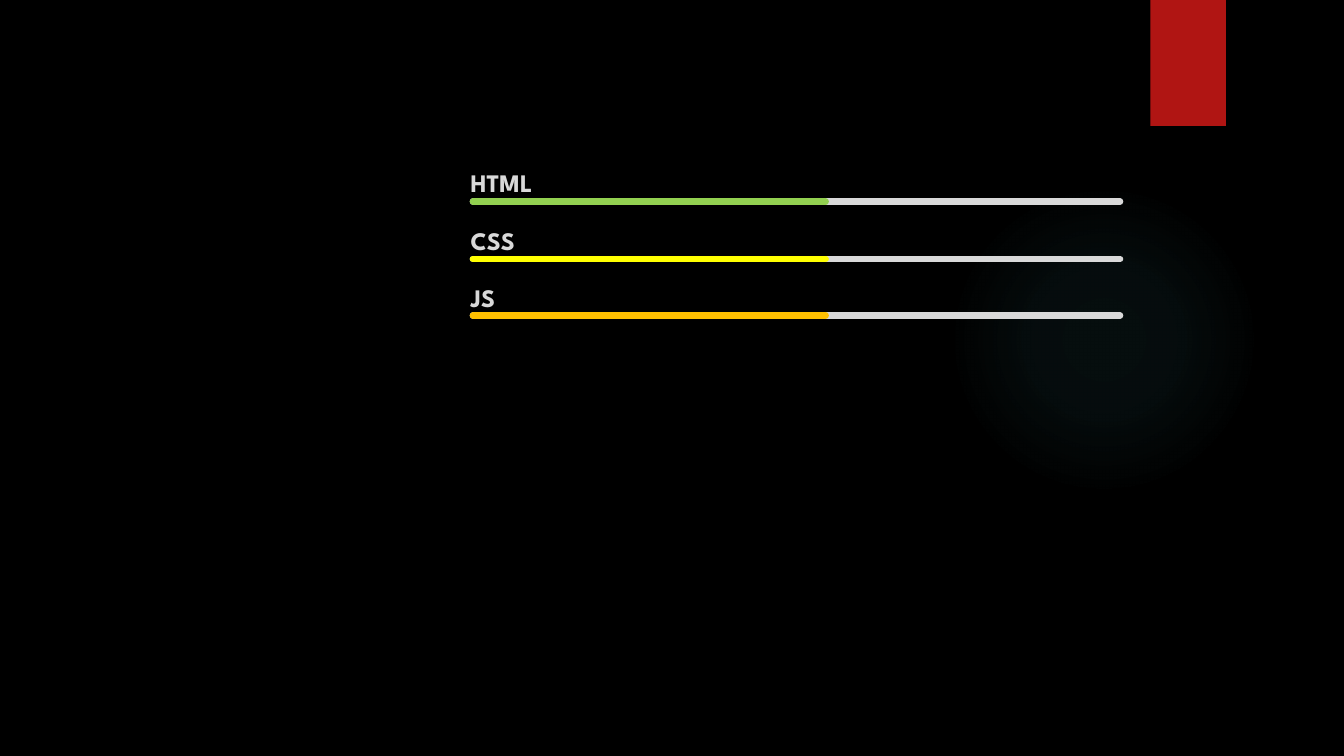
from dataclasses import dataclass

from pptx import Presentation
from pptx.dml.color import RGBColor
from pptx.enum import shapes, text
from pptx.oxml import ns, parse_xml
from pptx.util import Inches, Pt


@dataclass(frozen=True)
class Theme:
    back: str = "000000"
    glow: str = "50B9C1"
    tab: str = "B01513"
    light: str = "D9D9D9"
    font: str = "League Spartan"
    size: float = 18
    bar: float = 4.5


theme = Theme()
rgb = RGBColor.from_string

deck = Presentation()
deck.slide_width, deck.slide_height = Inches(13.33), Inches(7.5)
slide = deck.slides.add_slide(deck.slide_layouts[6])
slide.background.fill.solid()
slide.background.fill.fore_color.rgb = rgb(theme.back)


def add_plain(kind, left, top, width, height):
    """Add a preset shape with no outline and no shadow."""
    shape = slide.shapes.add_shape(
        kind, Inches(left), Inches(top), Inches(width), Inches(height))
    shape.shadow.inherit = False
    shape.line.fill.background()
    return shape


def add_bar(right, y, color):
    """Draw a round-ended bar from the common left edge."""
    bar = slide.shapes.add_connector(
        shapes.MSO_CONNECTOR.STRAIGHT,
        Inches(4.69), Inches(y), Inches(right), Inches(y))
    bar.line.color.rgb = rgb(color)
    bar.line.width = Pt(theme.bar)
    props = bar._element.spPr
    props.find(ns.qn("a:ln")).set("cap", "rnd")
    props.append(parse_xml(f'<a:effectLst {ns.nsdecls("a")}/>'))


# Soft radial glow, fading outwards
glow = add_plain(shapes.MSO_SHAPE.OVAL, 9.41, 1.83, 3.08, 3.08)
glow.fill.background()
stops = "".join(
    f'<a:gs pos="{pos * 1000}"><a:srgbClr val="{theme.glow}">'
    f'<a:alpha val="{alpha * 1000}"/></a:srgbClr></a:gs>'
    for pos, alpha in [(0, 7), (36, 6), (69, 0)])
props = glow._element.spPr
props.replace(props.find(ns.qn("a:noFill")), parse_xml(
    f'<a:gradFill {ns.nsdecls("a")}><a:gsLst>{stops}</a:gsLst>'
    '<a:path path="circle">'
    '<a:fillToRect l="50000" t="50000" r="50000" b="50000"/>'
    '</a:path></a:gradFill>'))

# Red tab at the top edge
tab = add_plain(shapes.MSO_SHAPE.RECTANGLE, 11.41, 0, 0.75, 1.25)
tab.fill.solid()
tab.fill.fore_color.rgb = rgb(theme.tab)

# Skills: name, label top, label width, bar height, bar colour
skills = [
    ("HTML", 1.61, 0.81, 2, "92D050"),
    ("CSS", 2.19, 0.66, 2.57, "FFFF00"),
    ("JS", 2.75, 0.45, 3.13, "FFC000"),
]
for name, top, width, y, color in skills:
    label = slide.shapes.add_textbox(
        Inches(4.57), Inches(top), Inches(width), Inches(0.4))
    frame = label.text_frame
    frame.word_wrap = False
    frame.auto_size = text.MSO_AUTO_SIZE.SHAPE_TO_FIT_TEXT
    run = frame.paragraphs[0].add_run()
    run.text = name
    run.font.name = theme.font
    run.font.size = Pt(theme.size)
    run.font.bold = True
    run.font.color.rgb = rgb(theme.light)

    add_bar(11.11, y, theme.light)
    add_bar(8.19, y, color)

deck.save("out.pptx")
